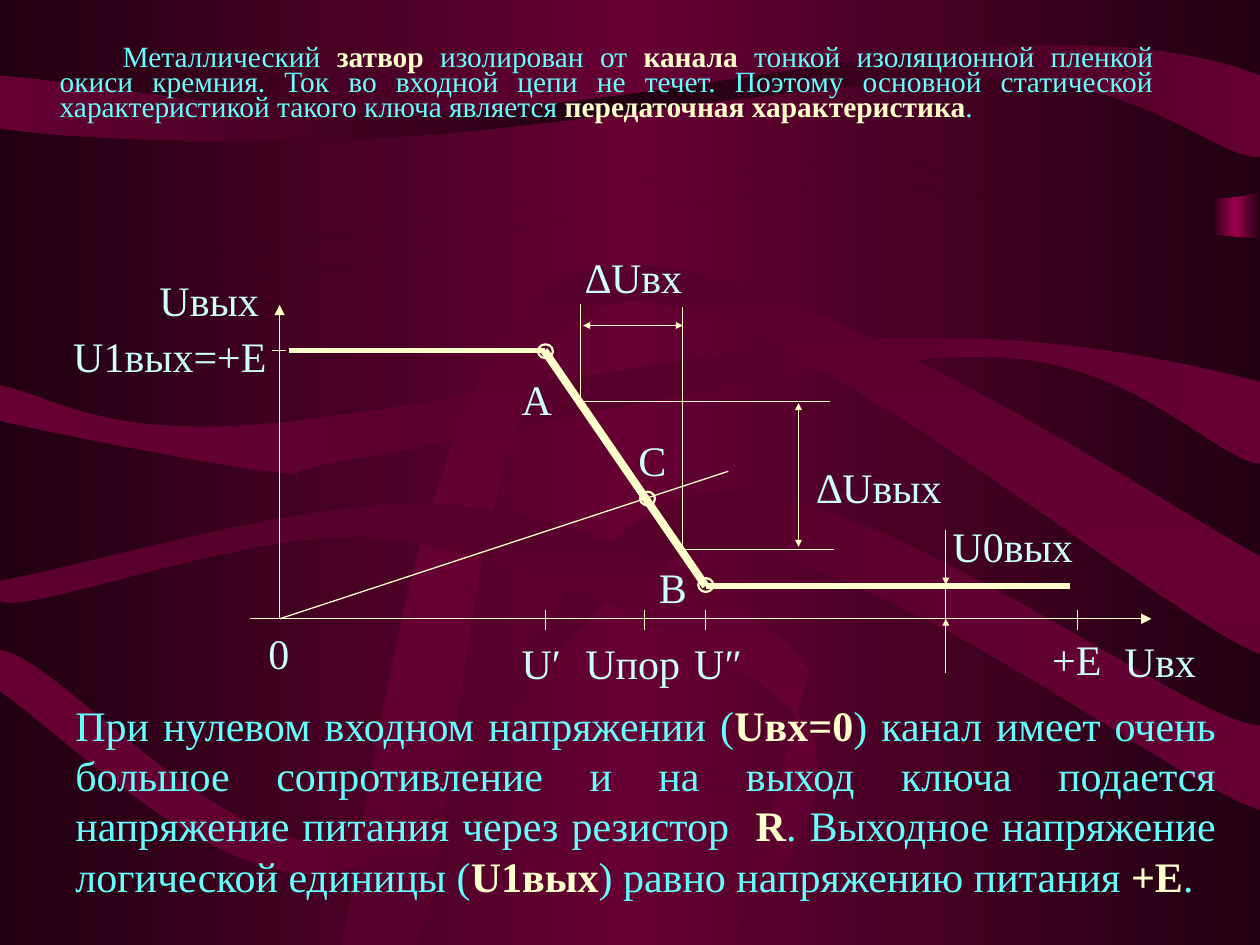
import lxml.etree
import copy
import pptx
import pptx.util
import pptx.dml.color
import pptx.enum.shapes
import pptx.enum.text
import pptx.oxml.ns

Pt = pptx.util.Pt
RGBColor = pptx.dml.color.RGBColor
qn = pptx.oxml.ns.qn
Shape = pptx.enum.shapes.MSO_SHAPE
Align = pptx.enum.text.PP_ALIGN

DARK = RGBColor(0x22, 0x00, 0x11)
WINE = RGBColor(0x66, 0x00, 0x33)
PLUM = RGBColor(0x56, 0x00, 0x2B)
ROSE = RGBColor(0x9C, 0x00, 0x4E)
CREAM = RGBColor(0xFF, 0xFF, 0xCC)
ICE = RGBColor(0xCC, 0xFF, 0xFF)
AQUA = RGBColor(0x66, 0xFF, 0xFF)

TOP, LOW = 0, 540
RIGHT = 720
AXIS_X, AXIS_Y = 159.8, 353.6
HIGH_Y, BASE_Y = 200.3, 334.9
A_X, C_X, B_X, E_X = 311.7, 368.4, 403.3, 615.6
IN_X, OUT_X = 331.8, 390.2
IN_Y, OUT_Y = 229.5, 313.9
GAP_X = 540.5


class Sheet:
    def __init__(self, slide, font="Times New Roman"):
        self.slide = slide
        self.shapes = slide.shapes
        self.font = font

    def blend(self, fill, root, edge, core, angle=0):
        fill.gradient()
        fill.gradient_angle = angle
        stops = root.find(".//" + qn("a:gsLst"))
        stops.append(copy.deepcopy(stops[-1]))
        for stop, place, tone in zip(fill.gradient_stops, (0, 0.5, 1), (edge, core, edge)):
            stop.position = place
            stop.color.rgb = tone

    def ground(self, edge, core):
        self.blend(self.slide.background.fill, self.slide.element, edge, core)

    def paint(self, shape, edge, core, angle=0):
        shape.shadow.inherit = False
        shape.line.fill.background()
        self.blend(shape.fill, shape.element, edge, core, angle)

    def block(self, x, y, w, h, edge, core):
        shape = self.shapes.add_shape(Shape.RECTANGLE, Pt(x), Pt(y), Pt(w), Pt(h))
        self.paint(shape, edge, core)

    def wave(self, parts, edge, core, angle=0):
        spots = [(Pt(part[i]), Pt(part[i + 1])) for part in parts for i in range(0, len(part), 2)]
        build = self.shapes.build_freeform(*spots[0])
        build.add_line_segments(spots[1:], close=True)
        shape = build.convert_to_shape()
        legs = iter(shape.element.findall(".//" + qn("a:lnTo")))
        for part in parts[1:]:
            leg = next(legs)
            if len(part) == 6:
                leg.addprevious(curve := leg.makeelement(qn("a:cubicBezTo")))
                for piece in (leg, next(legs), next(legs)):
                    curve.append(piece[0])
                    piece.getparent().remove(piece)
        self.paint(shape, edge, core, angle)

    def line(self, x1, y1, x2, y2, width=0.75, heads=(), size="sm"):
        link = self.shapes.add_connector(
            pptx.enum.shapes.MSO_CONNECTOR.STRAIGHT, Pt(x1), Pt(y1), Pt(x2), Pt(y2))
        link.line.width = Pt(width)
        link.line.color.rgb = CREAM
        props = link.element.spPr
        for head in heads:
            lxml.etree.SubElement(props.find(qn("a:ln")), qn("a:" + head),
                                  type="triangle", w=size, len=size)
        lxml.etree.SubElement(props, qn("a:effectLst"))

    def ring(self, x, y, w=8.6, h=7.9):
        shape = self.shapes.add_shape(
            Shape.OVAL, Pt(x - w / 2), Pt(y - h / 2), Pt(w), Pt(h))
        shape.shadow.inherit = False
        shape.fill.background()
        shape.line.width = Pt(1.25)
        shape.line.color.rgb = CREAM

    def text(self, x, y, w, h, runs, size=24, align=Align.LEFT, inset=(0, 0), space=None):
        frame = self.shapes.add_textbox(Pt(x), Pt(y), Pt(w), Pt(h)).text_frame
        frame.word_wrap = True
        frame.margin_left = frame.margin_right = Pt(inset[0])
        frame.margin_top = frame.margin_bottom = Pt(inset[1])
        para = frame.paragraphs[0]
        para.alignment = align
        para.line_spacing = space
        for words, tone, bold in runs:
            run = para.add_run()
            run.text = words
            run.font.name = self.font
            run.font.size = Pt(size)
            run.font.bold = bold
            run.font.color.rgb = tone
        return para

    def label(self, x, y, w, words, align=Align.LEFT):
        self.text(x, y, w, 26, [(words, ICE, False)], align=align)

    def prose(self, x, y, w, h, parts, size, space=None):
        runs = [(words, CREAM if i % 2 else AQUA, i % 2 == 1) for i, words in enumerate(parts)]
        return self.text(x, y, w, h, runs, size, Align.JUSTIFY, (7.2, 3.6), space)

    def hang(self, para, depth, stops):
        props = para._p.get_or_add_pPr()
        props.set("marL", str(Pt(depth)))
        props.set("indent", str(-Pt(depth)))
        tabs = lxml.etree.SubElement(props, qn("a:tabLst"))
        for stop in stops:
            lxml.etree.SubElement(tabs, qn("a:tab"), pos=str(Pt(stop)), algn="l")


def scene(sheet):
    sheet.ground(DARK, WINE)
    sheet.block(692, 35, 28, 248, DARK, ROSE)
    sheet.wave([(0, TOP), (RIGHT, TOP), (RIGHT, 109.4),
                (675.4, 125.3, 570.2, 87.8, 450, 95),
                (329.8, 102.2, 74.9, 167.8, 0, 151.9)], DARK, WINE)
    sheet.wave([(0, 164.2), (128.2, 176.4, 244.8, 139.7, 329.8, 125.3),
                (329.8, 125.3, 408.2, 113.8, 421.9, 111.6),
                (514.8, 91.4, 660.2, 136.1, RIGHT, 136.1), (RIGHT, LOW), (0, LOW)], DARK, WINE)
    sheet.wave([(0, 43.2), (0, 73.4), (36.7, 79.2, 126.7, 82.8, 221.8, 78.5),
                (316.8, 73.4, 488.9, 43.2, 571.7, 44.6), (654.5, 46.8, 695.5, 90, RIGHT, 90),
                (RIGHT, 43.2), (694.8, 33.1, 648.7, 23, 570.2, 26.6),
                (491, 30.2, 343.4, 61.9, 248.4, 64.8),
                (153.4, 67.7, 51.8, 47.5, 0, 43.2)], WINE, DARK)
    sheet.wave([(0, 220.3), (0, 240.5), (26.6, 247, 126, 266.4, 159.8, 270),
                (193.7, 273.6, 136.8, 272.9, 203, 262.1),
                (270, 250.6, 475.2, 203, 561.6, 203.8), (648, 203.8, 693.4, 262.8, RIGHT, 265),
                (RIGHT, 218.2), (684, 208.8, 601.9, 189.4, 504.7, 193.7),
                (407.5, 197.3, 221, 239, 136.8, 243.4),
                (52.6, 247.7, 28.8, 225.4, 0, 220.3)], WINE, PLUM)
    sheet.wave([(195.1, LOW), (209.5, 475.9, 239, 193.7, 326.9, 157),
                (414, 119.5, 654.5, 282.2, RIGHT, 318.2), (RIGHT, 373.7),
                (657.4, 349.2, 425.5, 147.6, 344.9, 175),
                (265, 203, 263.5, 479.5, 238.3, LOW)], PLUM, WINE, 90)
    sheet.wave([(0, 371.5), (0, 395.3), (32.4, 416.2, 125.3, 511.9, 193.7, 498.2),
                (261.4, 485.3, 319, 321.1, 406.8, 315.4),
                (494.6, 308.9, 667.4, 446.4, RIGHT, 463), (RIGHT, 414.7),
                (675.4, 411.8, 497.5, 271.4, 404.6, 281.5),
                (317.5, 292.3, 264.2, 465.1, 196.6, 480.2),
                (128.9, 494.6, 32.4, 374.4, 0, 371.5)], WINE, PLUM)
    sheet.wave([(0, 331.9), (0, 343.4), (18.7, 352.1, 149.8, 297.4, 226.1, 308.2),
                (302.4, 319.7, 426.2, 373, 458.6, 411.8), (491, 450, 419, 545, 419.8, LOW),
                (462.2, 383), (436.3, 341.3, 340.6, 297.4, 263.5, 288.7),
                (186.5, 280.1, 54.7, 322.6, 0, 331.9)], PLUM, WINE, 90)


def graph(sheet):
    for x, y, w, words in [
            (91.1, 157, 66.2, "Uвых"), (41.8, 188.6, 111.6, "U1вых=+Е"), (642.7, 362.9, 41, "Uвх"),
            (334.5, 364.3, 59.8, "Uпор"), (298.1, 364.3, 23, "U′"), (396.7, 364.3, 35.3, "U″"),
            (601.2, 362.2, 29.5, "+Е"), (544.3, 297.4, 76.3, "U0вых"),
            (334.5, 143.6, 73.4, "∆Uвх"), (466.6, 263.5, 74.9, "∆Uвых")]:
        sheet.label(x, y, w, words)
    for x, y, w, words in [(153.2, 358.6, 12.4, "0"), (293, 213.3, 27.4, "А"),
                           (370.8, 321.1, 27.4, "В"), (359.1, 248.4, 27.4, "С")]:
        sheet.label(x, y, w, words, Align.CENTER)

    both = ("headEnd", "tailEnd")
    tail = ("tailEnd",)
    sheet.line(AXIS_X, AXIS_Y, AXIS_X, 174.2, heads=tail, size="med")
    sheet.line(143, AXIS_Y, 658, AXIS_Y, heads=tail, size="med")
    sheet.line(155.5, HIGH_Y, 163.5, HIGH_Y)
    sheet.line(165, HIGH_Y, A_X, HIGH_Y, 3)
    sheet.line(311, HIGH_Y, B_X, BASE_Y, 4.5)
    sheet.line(B_X, BASE_Y, 611.3, BASE_Y, 3)
    sheet.line(AXIS_X, AXIS_Y, 416.2, 269.3)
    for x, y in [(A_X, 200.7), (B_X, 334.3), (370, 284.9)]:
        sheet.ring(x, y)
    for x in (A_X, C_X, B_X, E_X):
        sheet.line(x, 348.5, x, 360)
    sheet.line(IN_X, 228.5, IN_X, 173.5)
    sheet.line(OUT_X, 312.5, OUT_X, 175.7)
    sheet.line(IN_X, IN_Y, 474.5, IN_Y)
    sheet.line(OUT_X, OUT_Y, 476.6, OUT_Y)
    sheet.line(456.3, 230.4, 456.3, 312.5, heads=both)
    sheet.line(333.2, 186, OUT_X, 186, heads=both)
    sheet.line(GAP_X, 303.1, GAP_X, 384.5)
    sheet.line(GAP_X, 384.5, GAP_X, AXIS_Y, heads=tail)
    sheet.line(GAP_X, 304.6, GAP_X, 334.1, heads=tail)


def main():
    deck = pptx.Presentation()
    deck.slide_width, deck.slide_height = Pt(RIGHT), Pt(LOW)
    sheet = Sheet(deck.slides.add_slide(deck.slide_layouts[6]))
    scene(sheet)
    intro = sheet.prose(0, 24, 666, 95.8, [
        "\t\tМеталлический ", "затвор", " изолирован от ", "канала",
        " тонкой изоляционной пленкой окиси кремния. Ток во входной цепи не течет. "
        "Поэтому основной статической характеристикой такого ключа является ",
        "передаточная характеристика", "."], 16.8, 0.7)
    sheet.hang(intro, 27, range(0, 505, 72))
    graph(sheet)
    sheet.prose(36, 396, 666, 122.4, [
        "При нулевом входном напряжении (", "Uвх=0",
        ") канал имеет очень большое сопротивление и на выход ключа подается "
        "напряжение питания через резистор ", " R",
        ". Выходное напряжение логической единицы (", "U1вых",
        ") равно напряжению питания ", "+Е", "."], 24)
    deck.save("out.pptx")


if __name__ == "__main__":
    main()
